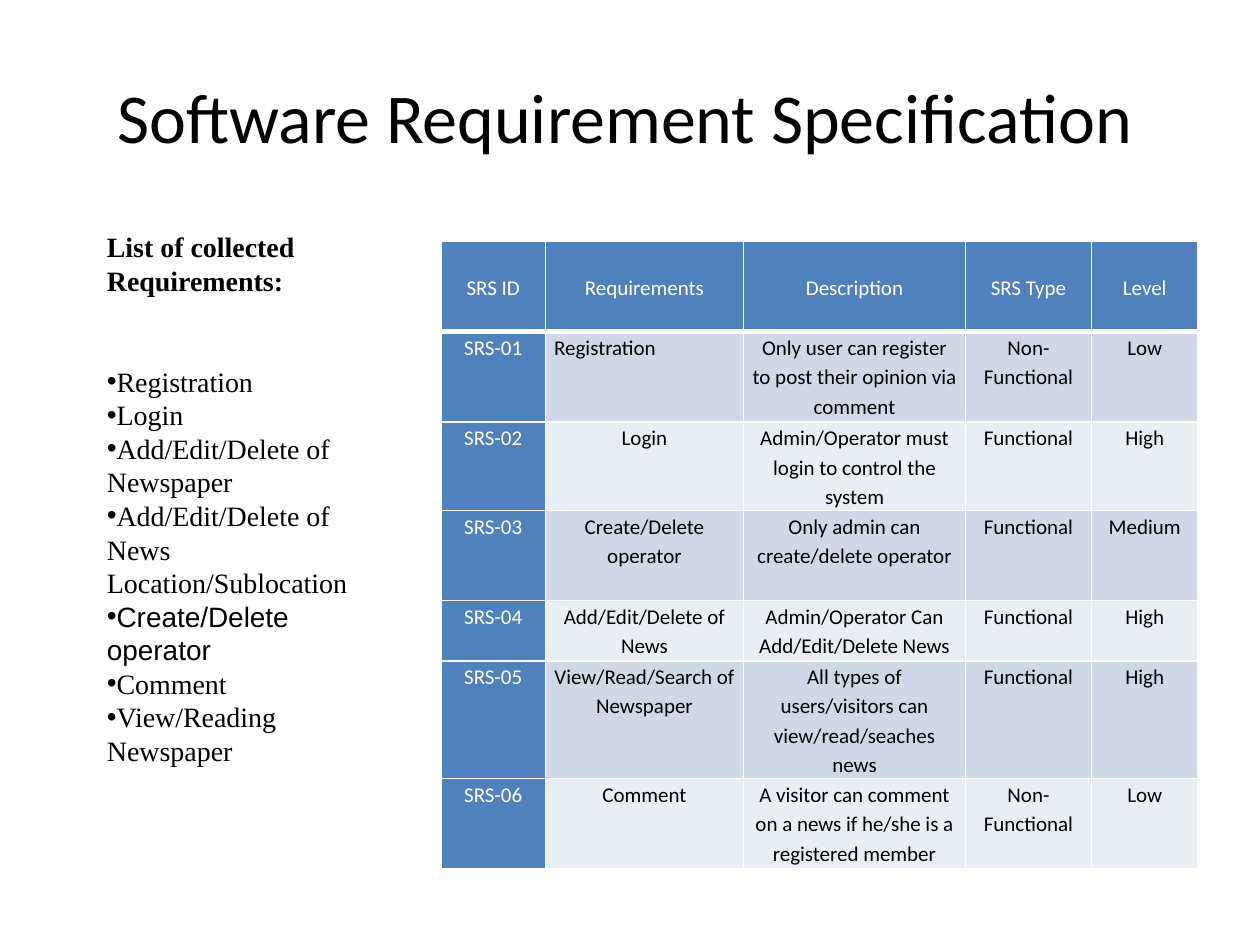
import dataclasses

import pptx
import pptx.dml.color
import pptx.enum.text
import pptx.oxml
import pptx.oxml.ns
import pptx.util
from lxml import etree

Pt = pptx.util.Pt
Align = pptx.enum.text.PP_ALIGN
Anchor = pptx.enum.text.MSO_ANCHOR


@dataclasses.dataclass(frozen=True)
class Theme:
    heading_font: str = "Calibri"
    list_font: str = "Times New Roman"
    accent_font: str = "Arial"
    title_size: float = 40
    list_size: float = 16
    table_size: float = 12
    text: str = "000000"
    white: str = "FFFFFF"
    header: str = "4F81BD"
    odd_row: str = "D0D8E8"
    even_row: str = "E9EDF4"


THEME = Theme()
LIST_LINE = 19.2
TABLE_LINE = 17.2

COLLECTED = [
    "Registration",
    "Login",
    "Add/Edit/Delete of Newspaper",
    "Add/Edit/Delete of News Location/Sublocation",
    "Create/Delete operator",
    "Comment",
    "View/Reading Newspaper",
]
ACCENTED = "Create/Delete operator"

COLUMN_WIDTHS = [59.7, 113.2, 126.9, 71.9, 61]
ROW_LINES = [3, 3, 2, 3, 2, 3, 3]
REQUIREMENTS = [
    ["SRS ID", "Requirements", "Description", "SRS Type", "Level"],
    ["SRS-01", "Registration", "Only user can register to post their opinion via comment",
     "Non-Functional", "Low"],
    ["SRS-02", "Login", "Admin/Operator must login to control the system",
     "Functional", "High"],
    ["SRS-03", "Create/Delete operator", "Only admin can create/delete operator",
     "Functional", "Medium"],
    ["SRS-04", "Add/Edit/Delete of News", "Admin/Operator Can Add/Edit/Delete News",
     "Functional", "High"],
    ["SRS-05", "View/Read/Search of Newspaper",
     "All types of users/visitors can view/read/seaches news", "Functional", "High"],
    ["SRS-06", "Comment", "A visitor can comment on a news if he/she is a registered member",
     "Non-Functional", "Low"],
]


def rgb(value):
    return pptx.dml.color.RGBColor.from_string(value)


def style(paragraph, font, size, color, bold=False):
    for run in paragraph.runs:
        run.font.name = font
        run.font.size = Pt(size)
        run.font.color.rgb = rgb(color)
        run.font.bold = bold


def place(shape, box):
    shape.left, shape.top, shape.width, shape.height = map(Pt, box)


def add_bullet(paragraph):
    properties = paragraph._p.get_or_add_pPr()
    etree.SubElement(properties, pptx.oxml.ns.qn("a:buFont")).set("typeface", THEME.accent_font)
    etree.SubElement(properties, pptx.oxml.ns.qn("a:buChar")).set("char", "•")


def set_borders(cell, bottom):
    """Draw white edges, 1 pt wide except for the given bottom width."""
    properties = cell._tc.get_or_add_tcPr()
    for position, (edge, width) in enumerate(zip("LRTB", (1, 1, 1, bottom))):
        line = pptx.oxml.parse_xml(
            f'<a:ln{edge} {pptx.oxml.ns.nsdecls("a")} w="{int(Pt(width))}"><a:solidFill>'
            f'<a:srgbClr val="{THEME.white}"/></a:solidFill></a:ln{edge}>')
        properties.insert(position, line)


def fill_title(title, box):
    place(title, box)
    frame = title.text_frame
    frame.text = "Software Requirement Specification"
    frame.vertical_anchor = Anchor.MIDDLE
    frame.paragraphs[0].alignment = Align.CENTER
    style(frame.paragraphs[0], THEME.heading_font, THEME.title_size, THEME.text)


def add_collected_list(slide, box):
    frame = slide.shapes.add_textbox(*map(Pt, box)).text_frame
    frame.word_wrap = True
    frame.margin_top = Pt(6)
    frame.text = "\n".join(["List of collected Requirements:"] + COLLECTED)
    heading, *items = frame.paragraphs
    for paragraph in frame.paragraphs:
        paragraph.line_spacing = Pt(LIST_LINE)
    style(heading, THEME.list_font, THEME.list_size, THEME.text, bold=True)
    items[0].space_before = Pt(2 * LIST_LINE)
    for item in items:
        add_bullet(item)
        font = THEME.accent_font if item.text == ACCENTED else THEME.list_font
        style(item, font, THEME.list_size, THEME.text)


def fill_cell(cell, text, row, column):
    is_header = row == 0
    is_label = is_header or column == 0
    cell.margin_left = cell.margin_right = Pt(5)
    cell.margin_top = Pt(TABLE_LINE if is_header else 0)
    cell.margin_bottom = Pt(0)
    cell.fill.solid()
    band = THEME.odd_row if row % 2 else THEME.even_row
    cell.fill.fore_color.rgb = rgb(THEME.header if is_label else band)
    set_borders(cell, bottom=3 if is_header else 1)
    cell.text_frame.text = text
    paragraph = cell.text_frame.paragraphs[0]
    paragraph.alignment = Align.LEFT if text == "Registration" else Align.CENTER
    paragraph.line_spacing = 1.15
    style(paragraph, THEME.heading_font, THEME.table_size,
          THEME.white if is_label else THEME.text)


def add_requirements_table(slide, left, top):
    heights = [lines * TABLE_LINE for lines in ROW_LINES]
    box = (left, top, sum(COLUMN_WIDTHS), sum(heights))
    table = slide.shapes.add_table(len(heights), len(COLUMN_WIDTHS), *map(Pt, box)).table
    for column, width in zip(table.columns, COLUMN_WIDTHS):
        column.width = Pt(width)
    for row, height in zip(table.rows, heights):
        row.height = Pt(height)
    for row, texts in enumerate(REQUIREMENTS):
        for column, text in enumerate(texts):
            fill_cell(table.cell(row, column), text, row, column)


def main():
    deck = pptx.Presentation()
    deck.slide_width, deck.slide_height = Pt(720), Pt(540)
    slide = deck.slides.add_slide(deck.slide_layouts.get_by_name("Title Only"))
    fill_title(slide.shapes.title, (24, 18, 666, 96))
    add_requirements_table(slide, 252, 138)
    add_collected_list(slide, (54, 125.3, 170, 414.7))
    deck.save("out.pptx")


if __name__ == "__main__":
    main()
